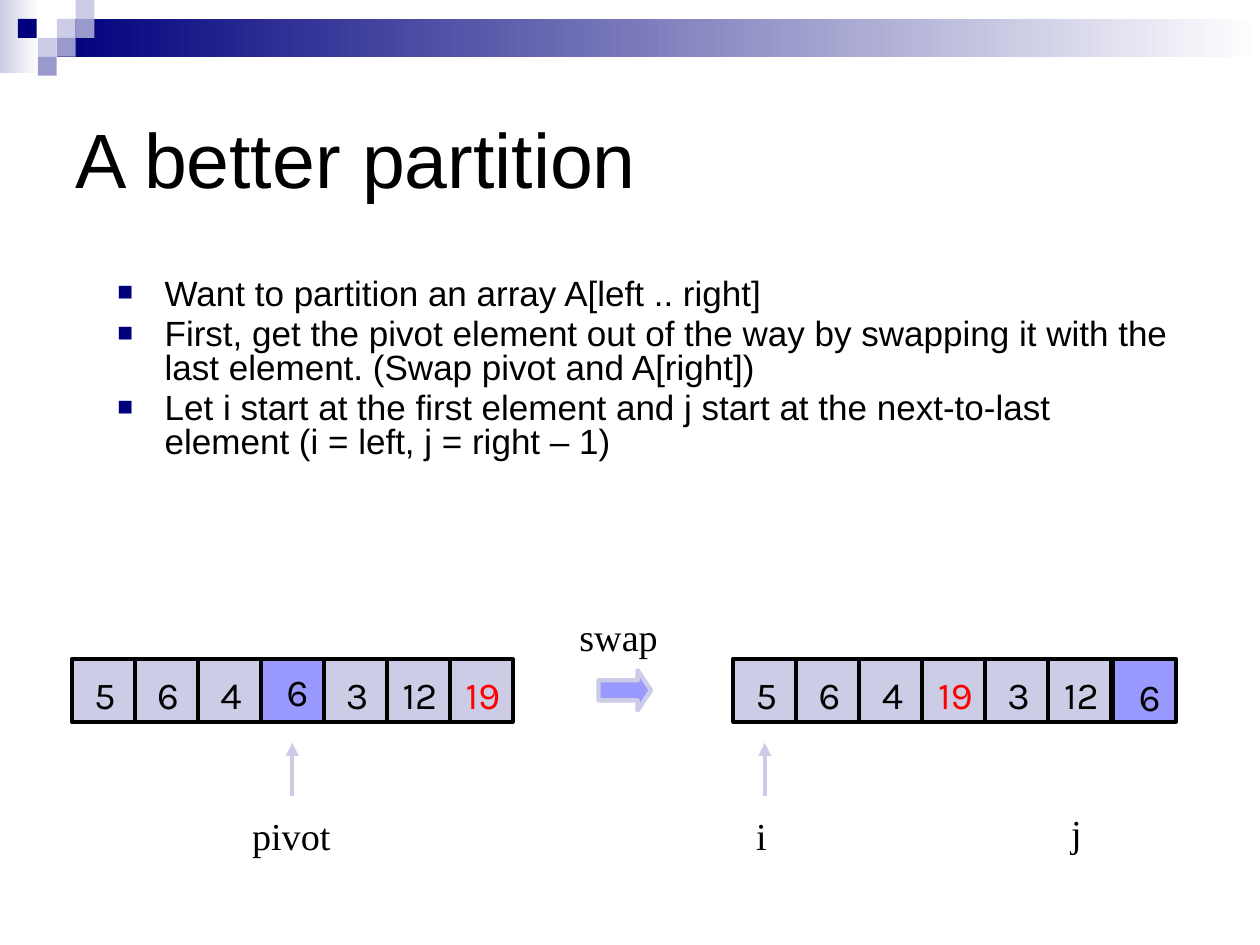
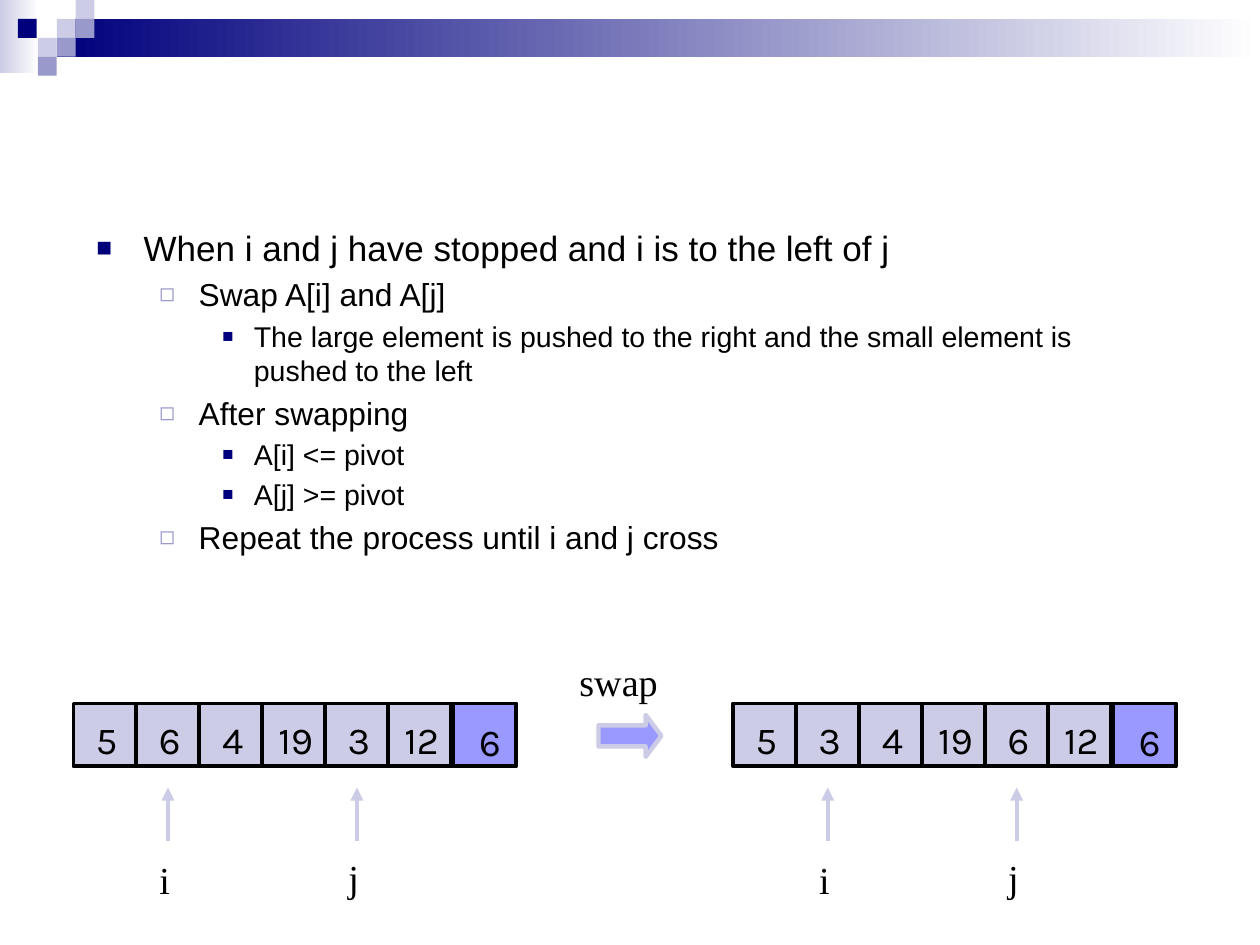
import pptx
import pptx.dml.color
import pptx.enum.shapes
import pptx.enum.text
import pptx.oxml
import pptx.oxml.ns
import pptx.util
from lxml import etree

Pt = pptx.util.Pt
SHAPES = pptx.enum.shapes.MSO_SHAPE
ALIGN = pptx.enum.text.PP_ALIGN
ANCHOR = pptx.enum.text.MSO_ANCHOR
FIT = pptx.enum.text.MSO_AUTO_SIZE

COLORS = {
    "text": "000000", "white": "FFFFFF", "navy": "00007D", "pale": "CCCCE6",
    "muted": "9999CC", "pivot": "9999FF", "swapped": "FF0000",
}
BODY_FONT, LABEL_FONT, VALUE_FONT = "Arial", "Times New Roman", "Karla"
DIAGRAM_SIZE = 21.8
CELL = 36
RIGHT_ARRAY = 419

# left, top, colour of each small square in the corner
SQUARES = [
    (32.5, 10.8, "pale"), (43.2, 0, "pale"), (43.2, 10.8, "muted"),
    (21.6, 21.6, "pale"), (10.2, 10.8, "navy"), (32.5, 21.6, "muted"),
    (21.6, 32.4, "muted"),
]
# text size, left margin, hanging indent, bullet, bullet colour, bullet percent
LEVELS = [
    (20, 27, 27, "■", "navy", 75),
    (18.1, 58.5, 22.5, "◻", "muted", 80),
    (16.3, 90, 18, "■", "navy", 65),
]
# distance of the label from the cell centre, drop below the array, width
MARKERS = {"pivot": (-30, 84, 66), "i": (-12, 84, 24), "j": (-12, 82.5, 30)}


def rgb(name):
    return pptx.dml.color.RGBColor.from_string(COLORS[name])


def add_child(parent, tag, **attributes):
    child = etree.SubElement(parent, pptx.oxml.ns.qn(tag))
    for name, value in attributes.items():
        child.set(name, str(value))
    return child


def add_block(page, left, top, width, height, fill, kind=SHAPES.RECTANGLE,
              line=None, line_width=2.25, fade=False):
    """Add a preset shape; fade runs its fill to white from left to right."""
    block = page.shapes.add_shape(kind, Pt(left), Pt(top), Pt(width), Pt(height))
    block.shadow.inherit = False
    if fade:
        block.fill.gradient()
        block.fill.gradient_angle = 0
        for stop, name in zip(block.fill.gradient_stops, (fill, "white")):
            stop.color.rgb = rgb(name)
    else:
        block.fill.solid()
        block.fill.fore_color.rgb = rgb(fill)
    if line:
        block.line.color.rgb = rgb(line)
        block.line.width = Pt(line_width)
    else:
        block.line.fill.background()
    return block


def write(para, text, size, font=BODY_FONT, color="text"):
    span = para.add_run()
    span.text = text
    span.font.size = Pt(size)
    span.font.name = font
    span.font.color.rgb = rgb(color)


def add_label(page, text, left, top, width, height=34, font=LABEL_FONT,
              color="text", align=ALIGN.LEFT, wrap=True):
    box = page.shapes.add_textbox(Pt(left), Pt(top), Pt(width), Pt(height))
    frame = box.text_frame
    frame.word_wrap = wrap
    frame.auto_size = FIT.SHAPE_TO_FIT_TEXT
    para = frame.paragraphs[0]
    para.alignment = align
    write(para, text, DIAGRAM_SIZE, font, color)


def add_header(page):
    add_block(page, 0, 0, 22.3, 41.8, "pale", fade=True)
    add_block(page, 32.5, 10.8, 687.5, 21.6, "navy", fade=True)
    for left, top, color in SQUARES:
        add_block(page, left, top, 10.8, 10.8, color)


def set_title(page, text):
    title = page.shapes.title
    title.left, title.top, title.width, title.height = Pt(36), Pt(36), Pt(648), Pt(108)
    frame = title.text_frame
    frame.auto_size = FIT.NONE
    frame.vertical_anchor = ANCHOR.MIDDLE
    para = frame.paragraphs[0]
    para.alignment = ALIGN.LEFT
    write(para, text, 44)


def add_bullets(page, items, left, top, width, height, line_spacing=None):
    """Add an outline from (level, text) pairs."""
    box = page.shapes.add_textbox(Pt(left), Pt(top), Pt(width), Pt(height))
    frame = box.text_frame
    frame.word_wrap = True
    for index, (level, text) in enumerate(items):
        para = frame.paragraphs[0] if index == 0 else frame.add_paragraph()
        size, margin, hanging, bullet, color, percent = LEVELS[level]
        para.level = level
        properties = para._p.get_or_add_pPr()
        properties.set("marL", str(Pt(margin)))
        properties.set("indent", str(-Pt(hanging)))
        add_child(add_child(properties, "a:buClr"), "a:srgbClr", val=COLORS[color])
        add_child(properties, "a:buSzPct", val=percent * 1000)
        add_child(properties, "a:buFont", typeface=BODY_FONT)
        add_child(properties, "a:buChar", char=bullet)
        if index:
            para.space_before = Pt(round(size * 0.2, 1))
        if line_spacing:
            para.line_spacing = line_spacing
        write(para, text, size)


def add_array(page, values, left, top, pivot, red=None):
    """Draw a row of cells with the pivot cell highlighted."""
    last = len(values) - 1
    for index, value in enumerate(values):
        cell_left, fill, center, drop = left + index * CELL, "pale", 19, 3.6
        if index == pivot:
            fill, center, drop = "pivot", 21, 2
            if index == last:
                cell_left, drop = cell_left + 1, 5
        add_block(page, cell_left, top, CELL, CELL, fill, line="text")
        width = 39 if value > 9 else 27
        add_label(page, str(value), cell_left + center - width / 2, top + drop, width,
                  font=VALUE_FONT, color="swapped" if value == red else "text",
                  align=ALIGN.CENTER, wrap=False)


def add_marker(page, name, array_left, array_top, index, arrow=True):
    """Label a cell from below, with an arrow up to it."""
    center = array_left + (index + 0.5) * CELL
    if arrow:
        pointer = page.shapes.add_connector(
            pptx.enum.shapes.MSO_CONNECTOR.STRAIGHT,
            Pt(center), Pt(array_top + 78.5), Pt(center), Pt(array_top + 48))
        pointer.line.color.rgb = rgb("pale")
        pointer.line.width = Pt(2.5)
        add_child(pointer.line._get_or_add_ln(), "a:tailEnd", type="triangle")
        add_child(pointer._element.spPr, "a:effectLst")
    shift, drop, width = MARKERS[name]
    add_label(page, name, center + shift, array_top + drop, width)


def add_swap(page, array_top, width, height, head):
    arrow = add_block(page, 342, array_top + 6.5, width, height, "pivot",
                      kind=SHAPES.RIGHT_ARROW, line="pale", line_width=2.5)
    arrow.adjustments[0] = 0.5
    arrow.adjustments[1] = head
    add_label(page, "swap", 324, array_top - 29.5, 78)


def build_setup_page(deck):
    page = deck.slides.add_slide(deck.slide_layouts[5])
    add_header(page)
    set_title(page, "A better partition")
    add_bullets(page, [
        (0, "Want to partition an array A[left .. right]"),
        (0, "First, get the pivot element out of the way by swapping it with "
            "the last element. (Swap pivot and A[right])"),
        (0, "Let i start at the first element and j start at the next-to-last "
            "element (i = left, j = right – 1)"),
    ], 60, 156, 618, 162, line_spacing=0.8)
    left, top = 41, 376.5
    add_array(page, [5, 6, 4, 6, 3, 12, 19], left, top, pivot=3, red=19)
    add_array(page, [5, 6, 4, 19, 3, 12, 6], RIGHT_ARRAY, top, pivot=6, red=19)
    add_swap(page, top, 30, 23, 0.33)
    add_marker(page, "pivot", left, top, 3)
    add_marker(page, "i", RIGHT_ARRAY, top, 0)
    add_marker(page, "j", RIGHT_ARRAY, top, 5, arrow=False)


def build_swap_page(deck):
    page = deck.slides.add_slide(deck.slide_layouts[6])
    add_header(page)
    add_bullets(page, [
        (0, "When i and j have stopped and i is to the left of j"),
        (1, "Swap A[i] and A[j]"),
        (2, "The large element is pushed to the right and the small element is "
            "pushed to the left"),
        (1, "After swapping"),
        (2, "A[i] <= pivot"),
        (2, "A[j] >= pivot"),
        (1, "Repeat the process until i and j cross"),
    ], 48, 126, 618, 240)
    top = 402
    add_swap(page, top, 36, 24, 0.375)
    for left, values in [(42, [5, 6, 4, 19, 3, 12, 6]),
                         (RIGHT_ARRAY, [5, 3, 4, 19, 6, 12, 6])]:
        add_array(page, values, left, top, pivot=6)
        add_marker(page, "i", left, top, 1)
        add_marker(page, "j", left, top, 4)


def main():
    deck = pptx.Presentation()
    deck.slide_width, deck.slide_height = Pt(720), Pt(540)
    build_setup_page(deck)
    build_swap_page(deck)
    deck.save("out.pptx")


if __name__ == "__main__":
    main()
